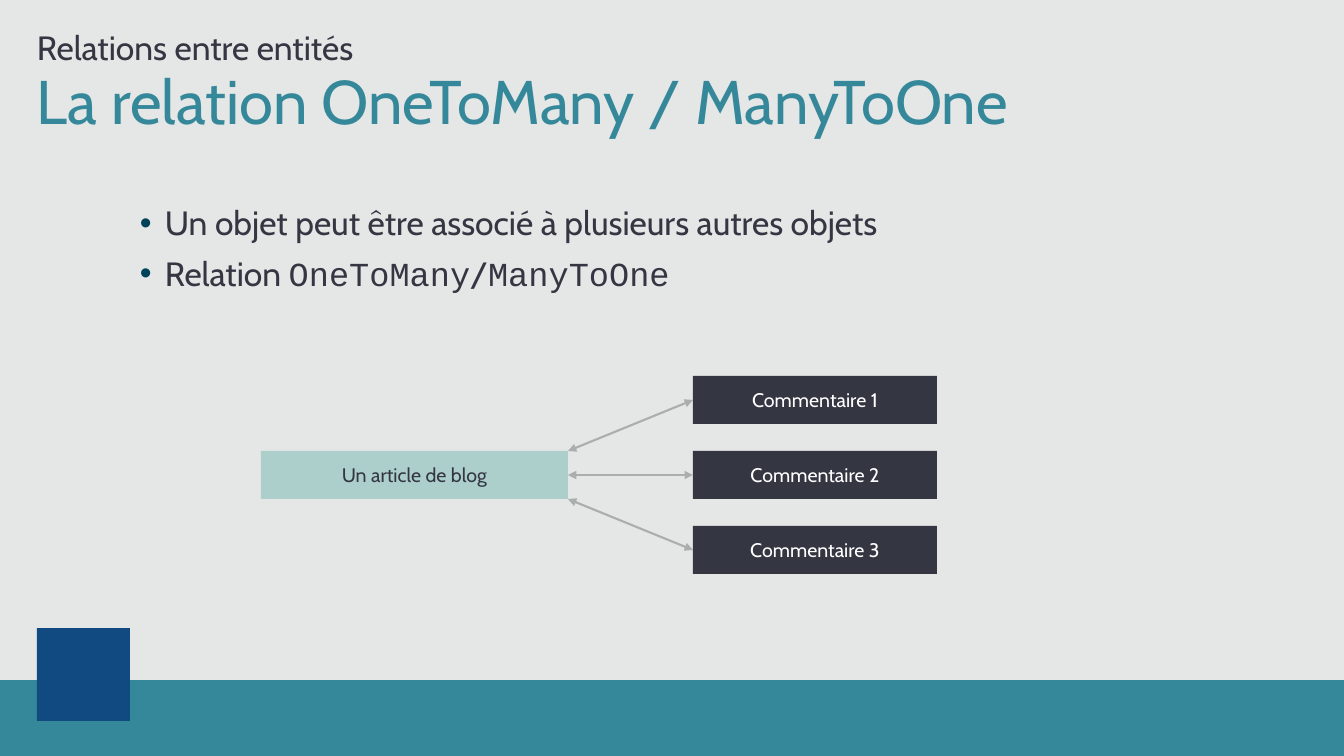
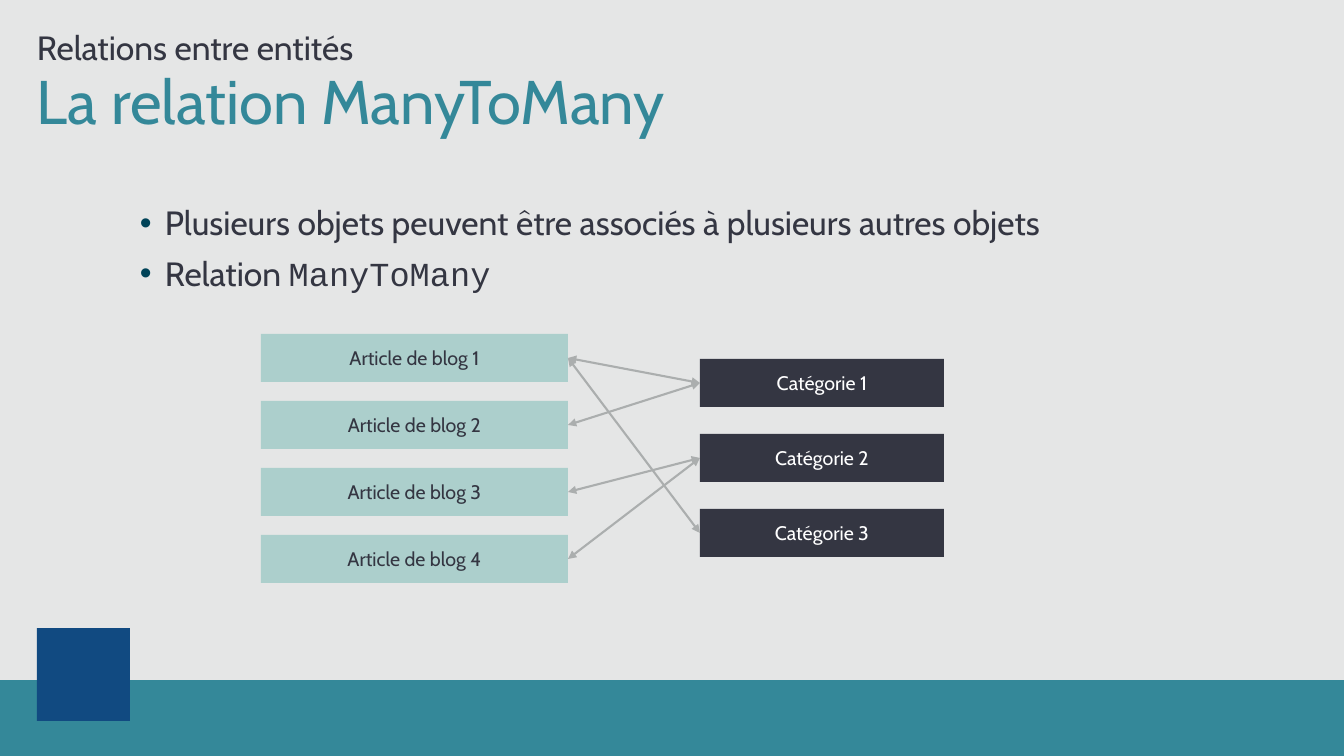
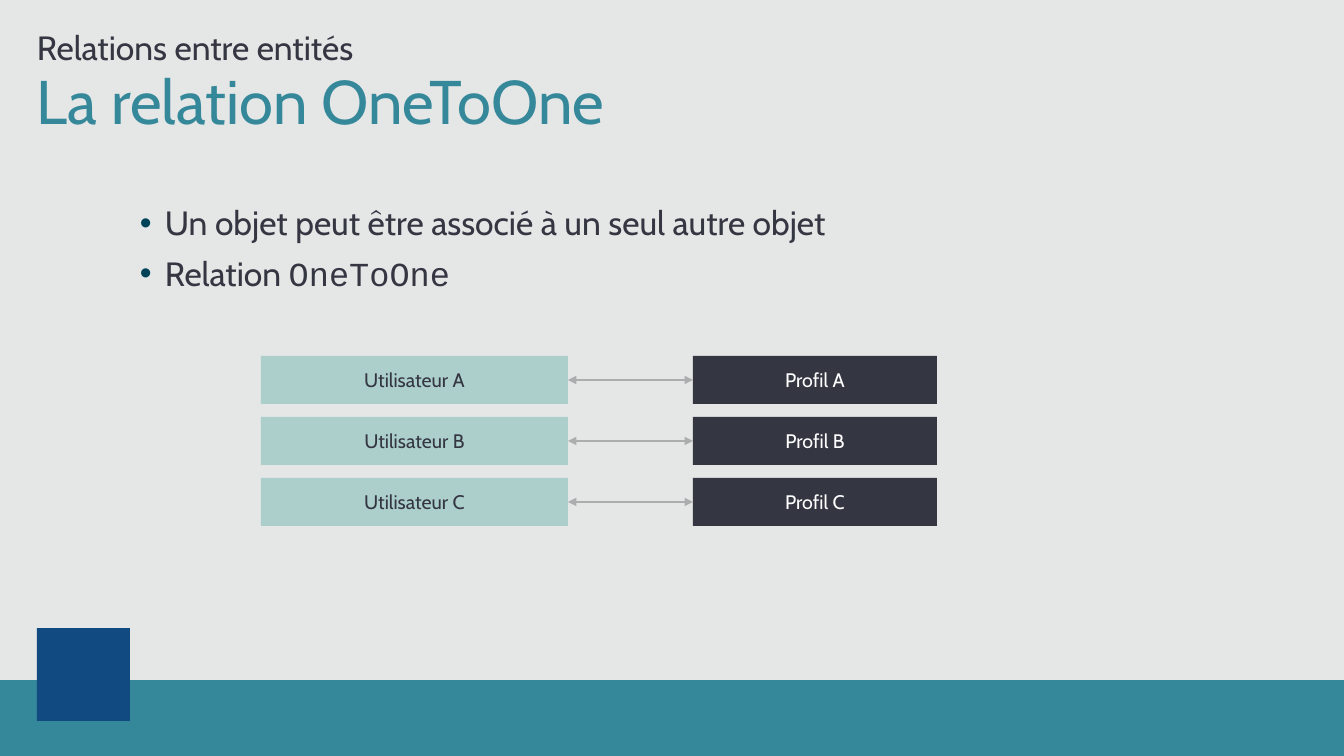
"""Build three slides on the relations between entities."""
import lxml.etree
import pptx
import pptx.dml.color
import pptx.enum.shapes
import pptx.enum.text
import pptx.oxml.ns
import pptx.util

SCALE = 914400 / 100.8
COLORS = {
    "background": "E5E6E6",
    "teal": "348899",
    "navy": "114A81",
    "ink": "343642",
    "mint": "ACCFCC",
    "white": "FFFFFF",
    "arrow": "ABAEAE",
    "bullet": "004358",
}
FONT, CODE_FONT = "Cabin", "Courier New"
RECTANGLE = pptx.enum.shapes.MSO_SHAPE.RECTANGLE
STRAIGHT = pptx.enum.shapes.MSO_CONNECTOR.STRAIGHT
ALIGN = pptx.enum.text.PP_ALIGN
ANCHOR = pptx.enum.text.MSO_ANCHOR
LEFT_X, LEFT_WIDTH, RIGHT_WIDTH, BOX_HEIGHT = 261, 307, 244, 48
LEFT_SIDE, RIGHT_SIDE = 1, 3
TOP, MIDDLE, BOTTOM = 0, 0.5, 1

SLIDES = [
    {
        "title": "La relation OneToMany / ManyToOne",
        "points": ["Un objet peut être associé à plusieurs autres objets",
                   "Relation `OneToMany`/`ManyToOne`"],
        "left": {"labels": ["Un article de blog"], "top": 451, "step": 0},
        "right": {"labels": [f"Commentaire {n}" for n in (1, 2, 3)],
                  "x": 693, "top": 376, "step": 75},
        "links": [(0, 0, TOP), (0, 1, MIDDLE), (0, 2, BOTTOM)],
    },
    {
        "title": "La relation ManyToMany",
        "points": ["Plusieurs objets peuvent être associés à plusieurs autres objets",
                   "Relation `ManyToMany`"],
        "left": {"labels": [f"Article de blog {n}" for n in (1, 2, 3, 4)],
                 "top": 334, "step": 67},
        "right": {"labels": [f"Catégorie {n}" for n in (1, 2, 3)],
                  "x": 700, "top": 359, "step": 75},
        "links": [(1, 0, MIDDLE), (2, 1, MIDDLE), (3, 1, MIDDLE),
                  (0, 2, MIDDLE), (0, 0, MIDDLE)],
    },
    {
        "title": "La relation OneToOne",
        "points": ["Un objet peut être associé à un seul autre objet",
                   "Relation `OneToOne`"],
        "left": {"labels": [f"Utilisateur {c}" for c in "ABC"], "top": 356, "step": 61},
        "right": {"labels": [f"Profil {c}" for c in "ABC"],
                  "x": 693, "top": 356, "step": 61},
        "links": [(n, n, MIDDLE) for n in range(3)],
    },
]


def add_text(box, lines, size, color, align=ALIGN.LEFT, anchor=ANCHOR.TOP,
             inset=None, spacing=None, bullets=False):
    """Write lines into a box; text between backticks is set as code."""
    frame = box.text_frame
    frame.word_wrap = True
    frame.vertical_anchor = anchor
    if inset is not None:
        frame.margin_left = frame.margin_right = inset
        frame.margin_top = frame.margin_bottom = inset
    for index, line in enumerate(lines):
        para = frame.add_paragraph() if index else frame.paragraphs[0]
        para.alignment = align
        if spacing:
            para.line_spacing = spacing
        if index:
            para.space_before = pptx.util.Pt(10)
        if bullets:
            properties = para._p.get_or_add_pPr()
            indent = round(25 * SCALE)
            properties.set("marL", str(indent))
            properties.set("indent", str(-indent))
            qn = pptx.oxml.ns.qn
            tint = lxml.etree.SubElement(properties, qn("a:buClr"))
            lxml.etree.SubElement(tint, qn("a:srgbClr"), val=COLORS["bullet"])
            lxml.etree.SubElement(properties, qn("a:buFont"), typeface="Arial")
            lxml.etree.SubElement(properties, qn("a:buChar"), char="•")
        for part, text in enumerate(line.split("`")):
            if text:
                span = para.add_run()
                span.text = text
                span.font.name = CODE_FONT if part % 2 else FONT
                span.font.size = pptx.util.Pt(size)
                span.font.color.rgb = pptx.dml.color.RGBColor.from_string(COLORS[color])


def add_box(page, x, y, width, height, fill=None):
    """Add a plain rectangle, or a text box when there is no fill."""
    place = [round(length * SCALE) for length in (x, y, width, height)]
    if fill is None:
        return page.shapes.add_textbox(*place)
    box = page.shapes.add_shape(RECTANGLE, *place)
    box.shadow.inherit = False
    box.fill.solid()
    box.fill.fore_color.rgb = pptx.dml.color.RGBColor.from_string(COLORS[fill])
    box.line.fill.background()
    return box


deck = pptx.Presentation()
deck.slide_width = round(1344 * SCALE)
deck.slide_height = round(756 * SCALE)
backdrop = deck.slide_master.background.fill
backdrop.solid()
backdrop.fore_color.rgb = pptx.dml.color.RGBColor.from_string(COLORS["background"])

for content in SLIDES:
    page = deck.slides.add_slide(deck.slide_layouts[6])
    add_box(page, 0, 680, 1344, 76, "teal")
    add_box(page, 37, 628, 93, 93, "navy")
    add_text(add_box(page, 37, 71, 1274, 67), [content["title"]], 44, "teal",
             inset=0, spacing=0.9)
    add_text(add_box(page, 37, 21, 1274, 47), ["Relations entre entités"], 24, "ink",
             anchor=ANCHOR.BOTTOM, inset=0, spacing=0.9)
    add_text(add_box(page, 130, 202, 1181, 110), content["points"], 24, "ink",
             spacing=0.9, bullets=True)

    columns = []
    for group, x, width, fill, color in (
        (content["left"], LEFT_X, LEFT_WIDTH, "mint", "ink"),
        (content["right"], content["right"]["x"], RIGHT_WIDTH, "ink", "white"),
    ):
        column = []
        for row, label in enumerate(group["labels"]):
            box = add_box(page, x, group["top"] + row * group["step"],
                          width, BOX_HEIGHT, fill)
            add_text(box, [label], 14, color, align=ALIGN.CENTER, anchor=ANCHOR.MIDDLE)
            column.append(box)
        columns.append(column)

    for source, target, height in content["links"]:
        start, end = columns[0][source], columns[1][target]
        arrow = page.shapes.add_connector(
            STRAIGHT, start.left + start.width, round(start.top + height * start.height),
            end.left, end.top + end.height // 2)
        if height == MIDDLE:
            arrow.begin_connect(start, RIGHT_SIDE)
        arrow.end_connect(end, LEFT_SIDE)
        arrow.line.color.rgb = pptx.dml.color.RGBColor.from_string(COLORS["arrow"])
        arrow.line.width = pptx.util.Pt(1.5)
        properties = arrow.element.spPr
        outline = properties.find(pptx.oxml.ns.qn("a:ln"))
        for tip in ("a:headEnd", "a:tailEnd"):
            lxml.etree.SubElement(outline, pptx.oxml.ns.qn(tip), type="triangle")
        lxml.etree.SubElement(properties, pptx.oxml.ns.qn("a:effectLst"))

deck.save("out.pptx")
